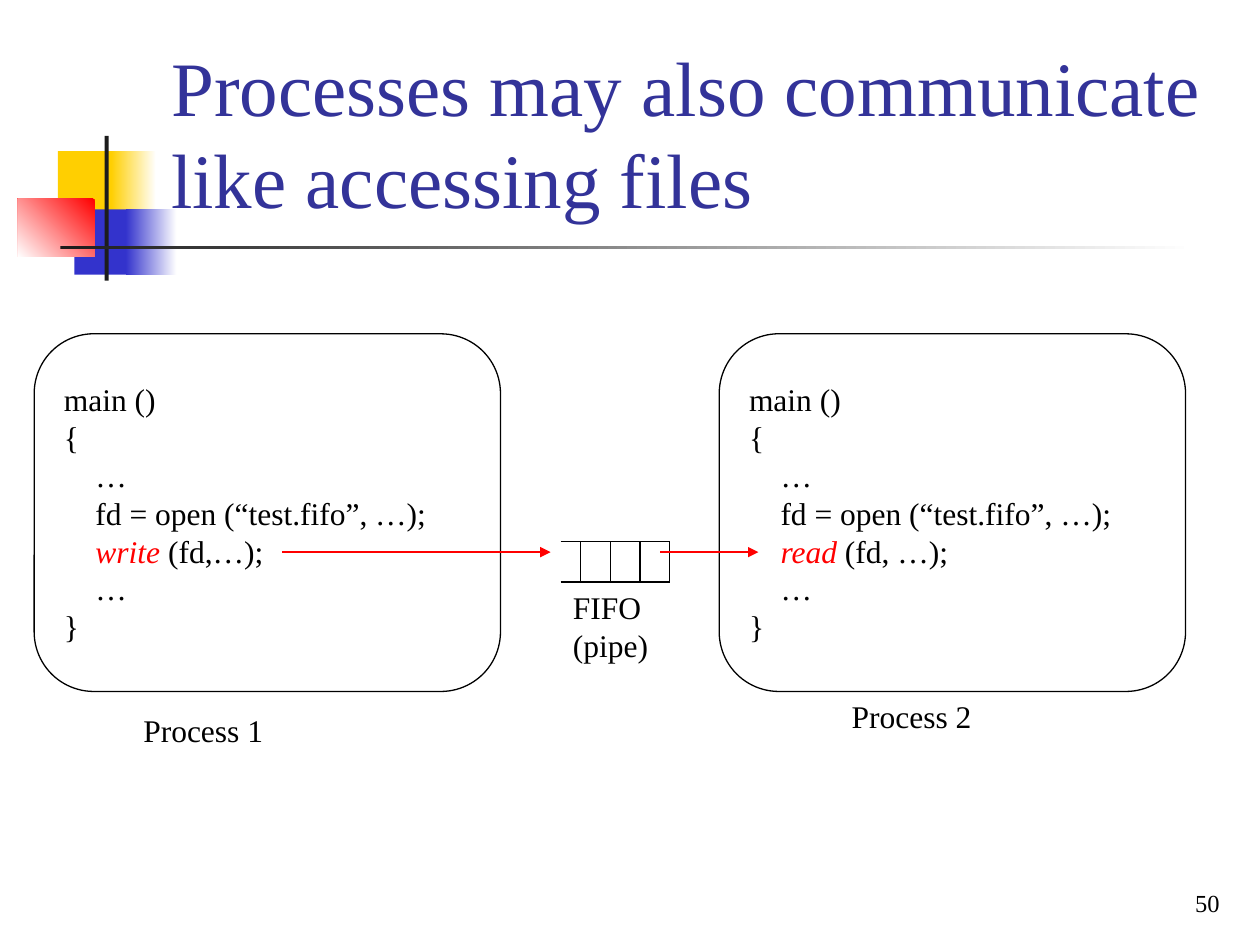
import pptx
import pptx.util
import pptx.dml.color
import pptx.enum.shapes
import pptx.enum.text
import pptx.oxml.ns
from lxml import etree

Cm, Pt = pptx.util.Cm, pptx.util.Pt
RGB = pptx.dml.color.RGBColor
SHAPE = pptx.enum.shapes.MSO_SHAPE
ANCHOR = pptx.enum.text.MSO_ANCHOR
ALIGN = pptx.enum.text.PP_ALIGN
qn = pptx.oxml.ns.qn

FONT = "Times New Roman"
BLACK = RGB(0, 0, 0)
WHITE = RGB(255, 255, 255)
RED = RGB(255, 0, 0)
GOLD = RGB(0xFF, 0xCF, 0x01)
BLUE = RGB(0x33, 0x33, 0xCC)
NAVY = RGB(0x33, 0x33, 0x99)
DARK = RGB(0x1C, 0x1C, 0x1C)

TITLE = "Processes may also communicate like accessing files"

# Left, top, width, height (cm), colour, angle of the fade to white
DECOR = [
    (1.17, 3.05, 1.22, 1.32, GOLD, None),
    (2.24, 3.05, 0.91, 1.32, GOLD, 0),
    (1.5, 4.22, 1.17, 1.32, BLUE, None),
    (2.54, 4.22, 1.02, 1.32, BLUE, 0),
    (0.36, 4.01, 1.55, 1.17, RED, 225),
    (2.11, 2.74, 0.08, 2.92, DARK, None),
    (1.22, 4.95, 22.86, 0.08, DARK, 0),
]

# Left edge of the box, call name, its arguments
PROCS = [
    (0.69, "write", "(fd,…);"),
    (14.5, "read", "(fd, …);"),
]
BOX_TOP, BOX_W, BOX_H = 6.73, 9.4, 7.21

LABELS = [
    (2.64, 14.2, 2.92, 1.02, ["Process 1"]),
    (16.92, 13.92, 2.92, 1.02, ["Process 2"]),
    (11.3, 11.73, 2.03, 1.78, ["FIFO", "(pipe)"]),
]

PIPE_L, PIPE_R, PIPE_T, PIPE_B = 11.3, 13.5, 10.92, 11.73
SLOT, SLOTS = 0.6, 4
ARROW_Y = 11.13
ARROWS = [(5.69, 11.1), (13.31, 15.29)]


def write(frame, lines, size=18, color=BLACK, align=ALIGN.LEFT,
          anchor=ANCHOR.TOP, wrap=True, mark=None):
    """Fill a text frame; the word given as mark turns red and italic."""
    frame.auto_size = pptx.enum.text.MSO_AUTO_SIZE.NONE
    frame.word_wrap = wrap
    frame.vertical_anchor = anchor
    for i, line in enumerate(lines):
        para = frame.add_paragraph() if i else frame.paragraphs[0]
        para.alignment = align
        parts = line.partition(mark) if mark else [line]
        for part in filter(None, parts):
            run = para.add_run()
            run.text = part
            run.font.name = FONT
            run.font.size = Pt(size)
            run.font.color.rgb = RED if part == mark else color
            if part == mark:
                run.font.italic = True


def block(slide, kind, *at):
    shape = slide.shapes.add_shape(kind, *map(Cm, at))
    shape.shadow.inherit = False
    return shape


def label(slide, at, lines, **style):
    box = slide.shapes.add_textbox(*map(Cm, at))
    write(box.text_frame, lines, **style)


def line(group, x1, y1, x2, y2, color=BLACK, arrow=False):
    link = group.add_connector(pptx.enum.shapes.MSO_CONNECTOR.STRAIGHT,
                               *map(Cm, (x1, y1, x2, y2)))
    link.line.color.rgb = color
    link.line.width = Pt(0.75)
    props = link._element.spPr
    if arrow:
        etree.SubElement(props.find(qn("a:ln")), qn("a:tailEnd"),
                         type="triangle")
    etree.SubElement(props, qn("a:effectLst"))


def decorate(slide):
    for *at, color, angle in DECOR:
        shape = block(slide, SHAPE.RECTANGLE, *at)
        shape.line.fill.background()
        if angle is None:
            shape.fill.solid()
            shape.fill.fore_color.rgb = color
        else:
            shape.fill.gradient()
            shape.fill.gradient_angle = angle
            for stop, shade in zip(shape.fill.gradient_stops, (color, WHITE)):
                stop.color.rgb = shade


def draw_procs(slide):
    for left, call, args in PROCS:
        box = block(slide, SHAPE.ROUNDED_RECTANGLE,
                    left, BOX_TOP, BOX_W, BOX_H)
        box.fill.background()
        box.line.color.rgb = BLACK
        box.line.width = Pt(0.75)
        code = ["main ()", "{", "    …", "    fd = open (“test.fifo”, …);",
                f"    {call} {args}", "    …", "}"]
        write(box.text_frame, code, anchor=ANCHOR.MIDDLE, mark=call)


def draw_pipe(slide):
    pipe = slide.shapes.add_group_shape().shapes
    for y in (PIPE_T, PIPE_B):
        line(pipe, PIPE_L, y, PIPE_R, y)
    for i in range(SLOTS):
        x = PIPE_R - i * SLOT
        line(pipe, x, PIPE_T, x, PIPE_B)


def main():
    deck = pptx.Presentation()
    deck.slide_width, deck.slide_height = Cm(25.4), Cm(19.05)
    slide = deck.slides.add_slide(deck.slide_layouts[5])
    decorate(slide)

    title = slide.shapes.title
    title.left, title.top = Cm(3.2), Cm(0.58)
    title.width, title.height = Cm(21.64), Cm(4.06)
    write(title.text_frame, [TITLE], size=44, color=NAVY,
          anchor=ANCHOR.BOTTOM)

    draw_procs(slide)
    draw_pipe(slide)
    for x1, x2 in ARROWS:
        line(slide.shapes, x1, ARROW_Y, x2, ARROW_Y, color=RED, arrow=True)
    for *at, lines in LABELS:
        label(slide, at, lines, wrap=False)
    label(slide, (19.56, 17.35, 5.28, 1.27), ["50"], size=14,
          align=ALIGN.RIGHT, anchor=ANCHOR.BOTTOM)
    deck.save("out.pptx")


if __name__ == "__main__":
    main()
